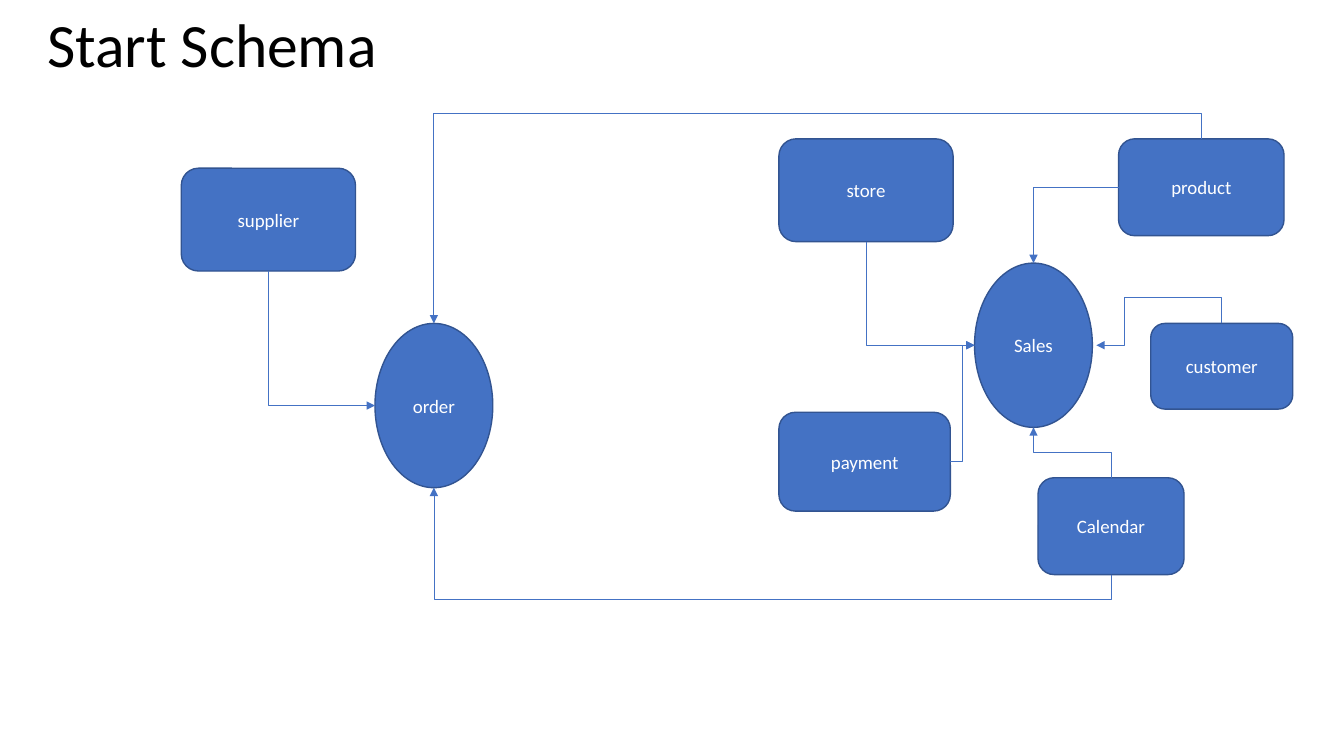
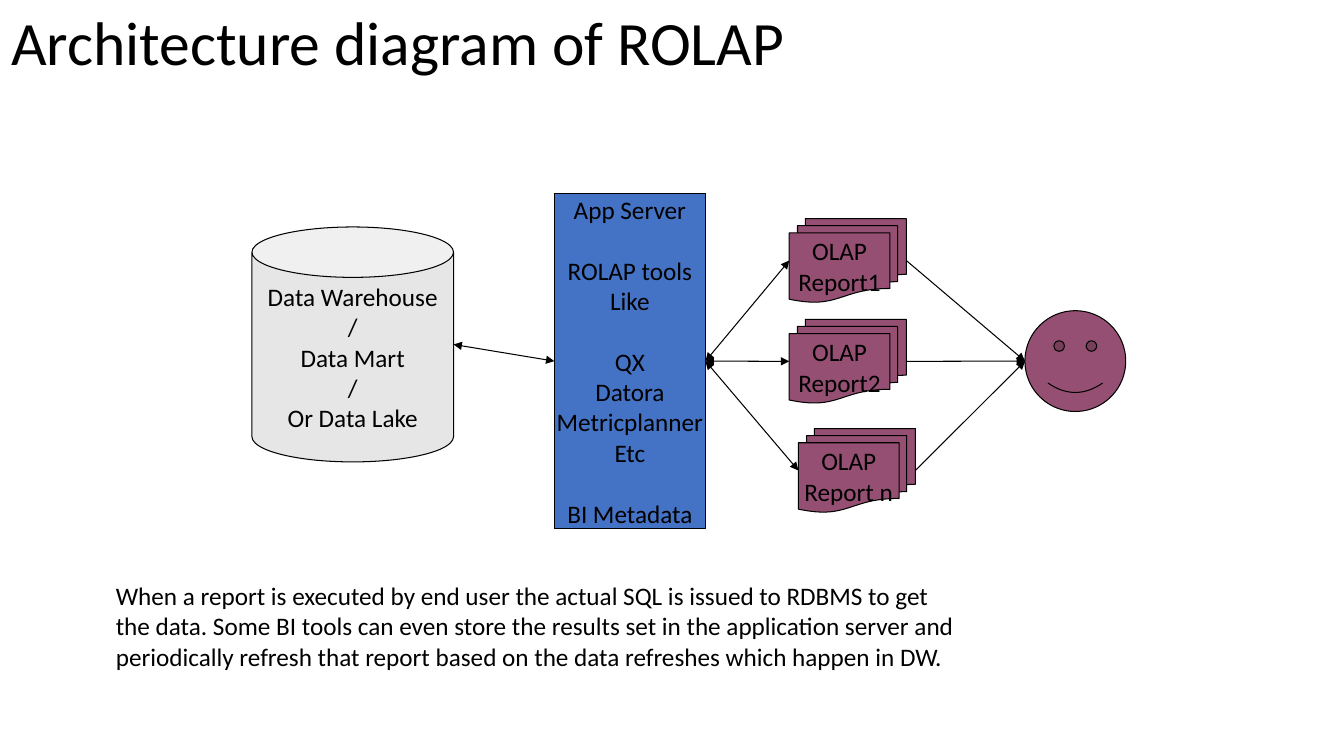
"""Build two slides: a star schema and the architecture of ROLAP."""
from lxml.etree import SubElement
from pptx import Presentation
from pptx.dml.color import RGBColor
from pptx.enum.shapes import MSO_CONNECTOR, MSO_SHAPE
from pptx.enum.text import MSO_ANCHOR, PP_ALIGN
from pptx.oxml.ns import qn
from pptx.util import Cm, Pt

COLORS = {
    "blue": "4472C4",
    "navy": "325491",
    "purple": "954F72",
    "gray": "E7E6E6",
    "black": "000000",
    "white": "FFFFFF",
}
FONT = "Calibri"

TITLE_SIZE = (31.39, 2.26)
TITLE_STYLE = {"size": 44, "color": "black", "line_spacing": 0.9}
SCHEMA_STYLE = {"fill": "blue", "line": "navy", "width": 1}
SCHEMA_TEXT = {"size": 13.5, "color": "white", "alignment": PP_ALIGN.CENTER}
ROLAP_TEXT = {"size": 18, "color": "black", "alignment": PP_ALIGN.CENTER}
NOTE_TEXT = {"size": 18, "color": "black"}
CENTERED = {"vertical_anchor": MSO_ANCHOR.MIDDLE}
UNWRAPPED = {"vertical_anchor": MSO_ANCHOR.MIDDLE, "word_wrap": False}
BLANK_LINE = Pt(22)

SCHEMA_TITLE = ("Start Schema", (0.94, 0.23))
FACTS = {
    "Sales": (24.56, 6.63, 2.97, 4.14),
    "order": (9.45, 8.15, 2.97, 4.14),
}
DIMENSIONS = {
    "customer": (29, 8.15, 3.58, 2.16),
    "store": (19.63, 3.5, 4.39, 2.59),
    "product": (28.19, 3.5, 4.17, 2.44),
    "Calendar": (26.16, 12.04, 3.68, 2.44),
    "payment": (19.63, 10.39, 4.32, 2.49),
    "supplier": (4.57, 4.24, 4.39, 2.59),
}
RELATIONS = [
    ("store", "bottom", "Sales", "left", 2, 270, "H", ()),
    ("payment", "right", "Sales", "left", 3, 0, "V", ()),
    ("Calendar", "top", "Sales", "bottom", 3, 270, "V", ()),
    ("product", "left", "Sales", "top", 2, 180, "V", ()),
    ("customer", "top", "Sales", "right", 4, 270, "HV", (-1.18, 0.78)),
    ("supplier", "bottom", "order", "left", 2, 270, "H", ()),
    ("product", "top", "order", "top", 3, 270, "HV", (-0.14,)),
    ("Calendar", "bottom", "order", "bottom", 3, 90, "H", (-0.29,)),
]
CUSTOMER_GAP = 0.1

ROLAP_TITLE = ("Architecture diagram of ROLAP", (0.03, 0.18))
WAREHOUSE = ["Data Warehouse", "/", "Data Mart", "/", "Or Data Lake"]
SERVER = [
    "App Server", "ROLAP tools", "Like", "QX", "Datora", "Metricplanner", "Etc", "BI Metadata",
]
SERVER_GAPS = ("ROLAP tools", "QX", "BI Metadata")
REPORTS = [
    ("Report1", 19.89, 5.51),
    ("Report2", 19.89, 8.05),
    ("Report n", 20.12, 10.8),
]
REPORT_SIZE = (2.95, 2.11)
NOTE = [
    "When a report is executed by end user the actual SQL is issued to RDBMS to get",
    "the data. Some BI tools can even store the results set in the application server and",
    "periodically refresh that report based on the data refreshes which happen in DW.",
]

SIDES = {"top": (0.5, 0), "left": (0, 0.5), "bottom": (0.5, 1), "right": (1, 0.5)}
FOUR_SITES = {"top": 0, "left": 1, "bottom": 2, "right": 3}
SITES = {
    MSO_SHAPE.OVAL: {"top": 0, "left": 2, "bottom": 4, "right": 6},
    MSO_SHAPE.SMILEY_FACE: {"top": 0, "left": 2, "bottom": 4, "right": 6},
    MSO_SHAPE.CAN: {"top": 1, "left": 2, "bottom": 3, "right": 4},
}


def color(name):
    return RGBColor.from_string(COLORS[name])


def set_attributes(target, values):
    for name, value in values.items():
        setattr(target, name, value)


def write(shape, texts, style, frame_format, gaps=()):
    frame = shape.text_frame
    set_attributes(frame, {"word_wrap": True, **frame_format})
    paragraph_format = {key: style[key] for key in ("alignment", "line_spacing") if key in style}
    for index, text in enumerate(texts):
        paragraph = frame.add_paragraph() if index else frame.paragraphs[0]
        paragraph.text = text
        set_attributes(paragraph, paragraph_format)
        if text in gaps:
            paragraph.space_before = BLANK_LINE
        for run in paragraph.runs:
            set_attributes(run.font, {"name": FONT, "size": Pt(style["size"])})
            run.font.color.rgb = color(style["color"])


def add_text(slide, texts, box, style):
    shape = slide.shapes.add_textbox(*map(Cm, box))
    write(shape, texts, style, {"vertical_anchor": MSO_ANCHOR.TOP})


def add_slide(presentation, title):
    slide = presentation.slides.add_slide(presentation.slide_layouts[6])
    text, position = title
    add_text(slide, [text], position + TITLE_SIZE, TITLE_STYLE)
    return slide


def add_node(slide, kind, box, fill, line, width):
    shape = slide.shapes.add_shape(kind, *map(Cm, box))
    shape.shadow.inherit = False
    shape.fill.solid()
    shape.fill.fore_color.rgb = color(fill)
    shape.line.color.rgb = color(line)
    shape.line.width = Pt(width)
    return shape


def side_point(shape, side):
    across, down = SIDES[side]
    return round(shape.left + across * shape.width), round(shape.top + down * shape.height)


def join(connector, end, shape, side):
    connect = connector.begin_connect if end == "st" else connector.end_connect
    connect(shape, 0)
    site = SITES.get(shape.auto_shape_type, FOUR_SITES)[side]
    next(connector._element.iter(qn(f"a:{end}Cxn"))).set("idx", str(site))


def add_arrow(slide, kind, start, end, line, width, heads, gap=0):
    (start_shape, start_side), (end_shape, end_side) = start, end
    begin_x, begin_y = side_point(start_shape, start_side)
    end_x, end_y = side_point(end_shape, end_side)
    points = {"begin_x": begin_x, "begin_y": begin_y, "end_x": end_x + Cm(gap), "end_y": end_y}
    connector = slide.shapes.add_connector(kind, *points.values())
    join(connector, "st", start_shape, start_side)
    if not gap:
        join(connector, "end", end_shape, end_side)
    set_attributes(connector, points)
    connector.line.color.rgb = color(line)
    connector.line.width = Pt(width)
    outline = connector.line._get_or_add_ln()
    for head in heads:
        SubElement(outline, qn(f"a:{head}End"), type="triangle")
    SubElement(connector._element.spPr, qn("a:effectLst"))
    return connector


def bend(connector, preset, rotation, flips, adjustments):
    width, height = connector.width, connector.height
    if rotation % 180:
        shift = (width - height) // 2
        set_attributes(connector, {
            "left": connector.left + shift, "top": connector.top - shift,
            "width": height, "height": width,
        })
    properties = connector._element.spPr
    transform = properties.find(qn("a:xfrm"))
    transform.set("rot", str(rotation * 60000))
    for axis in "HV":
        transform.set(f"flip{axis}", str(int(axis in flips)))
    geometry = properties.find(qn("a:prstGeom"))
    geometry.set("prst", f"bentConnector{preset}")
    values = geometry.find(qn("a:avLst"))
    for number, value in enumerate(adjustments, 1):
        formula = f"val {round(value * 100000)}"
        SubElement(values, qn("a:gd"), name=f"adj{number}", fmla=formula)


def build_schema(presentation):
    slide = add_slide(presentation, SCHEMA_TITLE)
    tables = {}
    for kind, group in ((MSO_SHAPE.OVAL, FACTS), (MSO_SHAPE.ROUNDED_RECTANGLE, DIMENSIONS)):
        for name, box in group.items():
            tables[name] = add_node(slide, kind, box, **SCHEMA_STYLE)
            write(tables[name], [name], SCHEMA_TEXT, CENTERED)
    for start, start_side, end, end_side, *route in RELATIONS:
        gap = CUSTOMER_GAP if start == "customer" else 0
        connector = add_arrow(
            slide, MSO_CONNECTOR.ELBOW, (tables[start], start_side), (tables[end], end_side),
            "blue", 0.5, ["tail"], gap,
        )
        bend(connector, *route)


def build_rolap(presentation):
    slide = add_slide(presentation, ROLAP_TITLE)

    def add_part(kind, box, fill, texts=(), gaps=()):
        shape = add_node(slide, kind, box, fill, "black", 0.75)
        write(shape, texts, ROLAP_TEXT, UNWRAPPED, gaps)
        return shape

    def link(start, end, heads):
        add_arrow(
            slide, MSO_CONNECTOR.STRAIGHT, (start, "right"), (end, "left"), "black", 0.75, heads
        )

    warehouse = add_part(MSO_SHAPE.CAN, (6.35, 5.72, 5.08, 5.92), "gray", WAREHOUSE)
    server = add_part(MSO_SHAPE.RECTANGLE, (13.97, 4.87, 3.81, 8.46), "blue", SERVER, SERVER_GAPS)
    user = add_part(MSO_SHAPE.SMILEY_FACE, (25.83, 7.83, 2.54, 2.54), "purple")
    link(warehouse, server, ["head", "tail"])
    for name, left, top in REPORTS:
        box = (left, top, *REPORT_SIZE)
        report = add_part(MSO_SHAPE.FLOWCHART_MULTIDOCUMENT, box, "purple", ["OLAP", name])
        link(report, user, ["tail"])
        link(server, report, ["head", "tail"])
    add_text(slide, ["\n".join(NOTE)], (2.67, 14.5, 24.26, 2.57), NOTE_TEXT)


def main():
    presentation = Presentation()
    set_attributes(presentation, {"slide_width": Cm(33.87), "slide_height": Cm(19.05)})
    build_schema(presentation)
    build_rolap(presentation)
    presentation.save("out.pptx")


if __name__ == "__main__":
    main()
